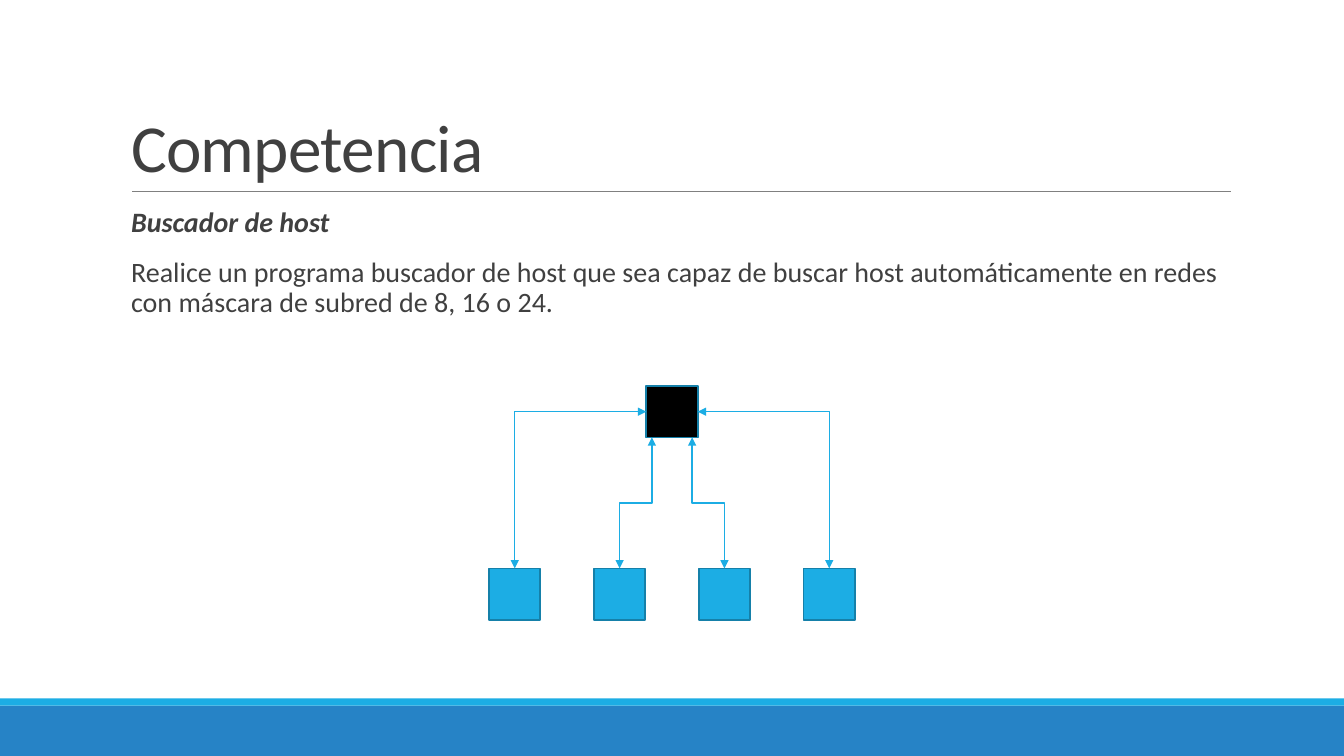
"""Builds the slide on the host finder contest, with its network diagram."""
import pptx
import pptx.dml.color
import pptx.enum.shapes
import pptx.enum.text
import pptx.oxml.ns
import pptx.oxml.xmlchemy
import pptx.util

TITLE = "Competencia"
TASK = [
    ("Buscador de host", True),
    ("Realice un programa buscador de host que sea capaz de buscar host automáticamente "
     "en redes con máscara de subred de 8, 16 o 24.", False),
]
COLORS = {"text": "404040", "rule": "808080", "band": "2683C6", "accent": "1CADE4",
          "edge": "1580A9", "scanner": "000000"}
WIDTH, HEIGHT = 13.33, 7.5
CENTER = WIDTH / 2
BANDS = [("band", 7, 0.5), ("accent", 6.93, 0.07)]
NODE, PITCH, SCANNER_TOP, HOST_TOP = 0.51, 1.04, 3.83, 5.64
LINKS = [
    (-1.5, -NODE / 2, SCANNER_TOP + NODE / 2, "bentConnector2"),
    (-0.5, -0.2, SCANNER_TOP + NODE, "bentConnector3"),
    (0.5, 0.2, SCANNER_TOP + NODE, "bentConnector3"),
    (1.5, NODE / 2, SCANNER_TOP + NODE / 2, "bentConnector2"),
]
Inches, Pt = pptx.util.Inches, pptx.util.Pt


def rgb(name):
    return pptx.dml.color.RGBColor.from_string(COLORS[name])


def apply(target, values):
    for key, value in values.items():
        setattr(target, key, value)


def place(shape, left, top, width, height):
    apply(shape, {"left": Inches(left), "top": Inches(top),
                  "width": Inches(width), "height": Inches(height)})


def add_xml(parent, tag, **attributes):
    child = pptx.oxml.xmlchemy.OxmlElement(tag)
    for key, value in attributes.items():
        child.set(key, value)
    parent.append(child)
    return child


def add_box(slide, fill, left, top, width, height, edge=None):
    box = slide.shapes.add_shape(pptx.enum.shapes.MSO_SHAPE.RECTANGLE, Inches(left),
                                 Inches(top), Inches(width), Inches(height))
    box.shadow.inherit = False
    box.fill.solid()
    box.fill.fore_color.rgb = rgb(fill)
    if edge:
        box.line.color.rgb = rgb(edge)
        box.line.width = Pt(1.25)
    else:
        box.line.fill.background()


def add_line(slide, kind, start, end, color, width):
    line = slide.shapes.add_connector(kind, *map(Inches, start + end))
    line.line.color.rgb = rgb(color)
    line.line.width = Pt(width)
    add_xml(line._element.spPr, "a:effectLst")
    return line


def add_link(slide, start, end, preset):
    """Draws a bent link that leaves its start vertically, as a turned elbow."""
    middle_x, middle_y = (start[0] + end[0]) / 2, (start[1] + end[1]) / 2
    half_run, half_rise = abs(end[0] - start[0]) / 2, abs(end[1] - start[1]) / 2
    side = 1 if end[0] > start[0] else -1
    link = add_line(slide, pptx.enum.shapes.MSO_CONNECTOR.ELBOW,
                    (middle_x + side * half_rise, middle_y + half_run),
                    (middle_x - side * half_rise, middle_y - half_run), "accent", 1)
    properties = link._element.spPr
    properties.find(pptx.oxml.ns.qn("a:xfrm")).set("rot", str((180 - side * 90) * 60000))
    properties.find(pptx.oxml.ns.qn("a:prstGeom")).set("prst", preset)
    outline = properties.find(pptx.oxml.ns.qn("a:ln"))
    for arrow in ("a:headEnd", "a:tailEnd"):
        add_xml(outline, arrow, type="triangle")


def write(paragraph, text, **font):
    run = paragraph.add_run()
    run.text = text
    apply(run.font, {"name": "Calibri", **font})
    run.font.color.rgb = rgb("text")
    return run


def add_texts(slide):
    heading, task = slide.placeholders
    place(heading, 1.2, 0.31, 11, 1.59)
    place(task, 1.2, 2.02, 11, 4.4)
    fixed = {"word_wrap": True, "auto_size": pptx.enum.text.MSO_AUTO_SIZE.NONE}
    apply(heading.text_frame, {**fixed, "vertical_anchor": pptx.enum.text.MSO_ANCHOR.BOTTOM})
    apply(task.text_frame, {**fixed, "margin_left": 0, "margin_right": 0})

    first = heading.text_frame.paragraphs[0]
    apply(first, {"alignment": pptx.enum.text.PP_ALIGN.LEFT, "line_spacing": 0.85})
    write(first, TITLE, size=Pt(48))._r.get_or_add_rPr().set("spc", "-50")

    for index, (text, strong) in enumerate(TASK):
        frame = task.text_frame
        paragraph = frame.add_paragraph() if index else frame.paragraphs[0]
        apply(paragraph, {"line_spacing": 0.9, "space_before": Pt(12), "space_after": Pt(2)})
        layout = paragraph._p.get_or_add_pPr()
        layout.set("marL", str(Inches(0.1)))
        layout.set("indent", str(-Inches(0.1)))
        add_xml(add_xml(layout, "a:buClr"), "a:srgbClr", val=COLORS["accent"])
        add_xml(layout, "a:buChar", char=" ")
        write(paragraph, text, size=Pt(20), bold=strong, italic=strong)


def main():
    deck = pptx.Presentation()
    apply(deck, {"slide_width": Inches(WIDTH), "slide_height": Inches(HEIGHT)})
    slide = deck.slides.add_slide(deck.slide_layouts[1])
    add_texts(slide)
    for fill, top, height in BANDS:
        add_box(slide, fill, 0, top, WIDTH, height)
    add_line(slide, pptx.enum.shapes.MSO_CONNECTOR.STRAIGHT,
             (1.31, 1.9), (12.21, 1.9), "rule", 0.5)
    add_box(slide, "scanner", CENTER - NODE / 2, SCANNER_TOP, NODE, NODE, "edge")
    for column, port, port_y, preset in LINKS:
        host_x = CENTER + column * PITCH
        add_box(slide, "accent", host_x - NODE / 2, HOST_TOP, NODE, NODE, "edge")
        add_link(slide, (host_x, HOST_TOP), (CENTER + port, port_y), preset)
    deck.save("out.pptx")


if __name__ == "__main__":
    main()
